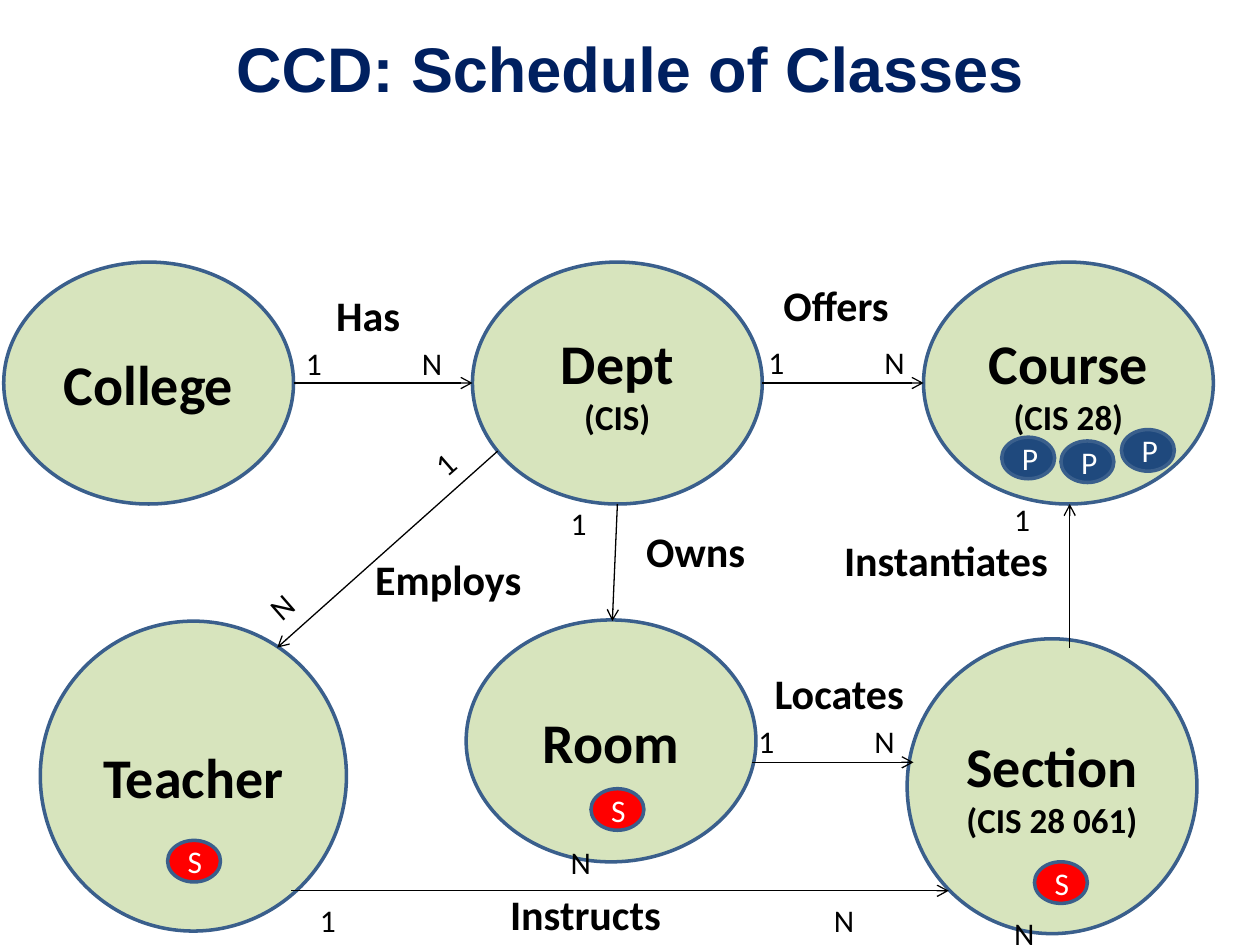
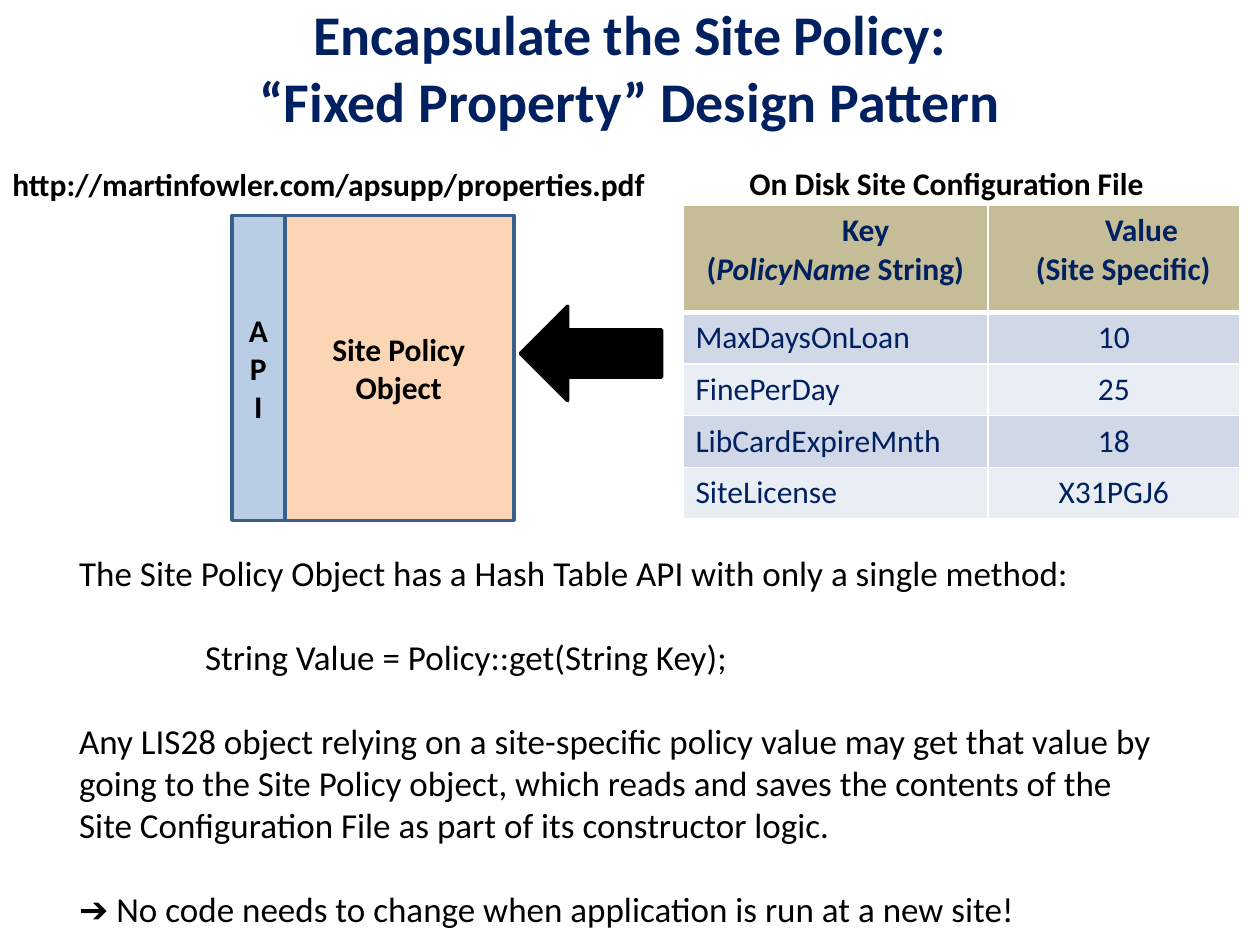
from lxml import etree
from pptx import Presentation
from pptx.dml.color import RGBColor
from pptx.enum.shapes import MSO_CONNECTOR, MSO_SHAPE
from pptx.enum.text import MSO_ANCHOR, MSO_AUTO_SIZE, PP_ALIGN
from pptx.oxml.ns import qn
from pptx.util import Inches, Pt

LEFT, CENTER = PP_ALIGN.LEFT, PP_ALIGN.CENTER
MIDDLE, NO_FIT = MSO_ANCHOR.MIDDLE, MSO_AUTO_SIZE.NONE
ELLIPSE, RECT, ARROW = MSO_SHAPE.OVAL, MSO_SHAPE.RECTANGLE, MSO_SHAPE.RIGHT_ARROW
STRAIGHT = MSO_CONNECTOR.STRAIGHT

COLORS = {
    "navy": "002060", "black": "000000", "white": "FFFFFF", "outline": "3A5F8C",
    "entity": "D7E4BD", "site": "FF0000", "policy": "1F497D", "object": "FCD5B5",
    "api": "B9CDE5", "header": "C4BD97", "odd": "D0D8E8", "even": "E9EDF4",
}
COLS, ROWS = 100, 75
TITLE_ONLY = 5


def rgb(name):
    """Return the named colour."""
    return RGBColor.from_string(COLORS[name])


def sub(parent, tag, **attrs):
    """Append a DrawingML child element and return it."""
    return etree.SubElement(parent, qn(tag), **attrs)


class Deck:
    """Holds the deck style and the current slide; places by grid units."""

    def __init__(self, prs):
        """Set the slide size and the grid unit."""
        self.prs, self.s = prs, None
        prs.slide_width, prs.slide_height = Inches(10), Inches(7.5)
        self.cw, self.rh = prs.slide_width / COLS, prs.slide_height / ROWS

    def grid(self, *values):
        """Turn alternating columns and rows into lengths."""
        return [round(v * (self.rh if i % 2 else self.cw)) for i, v in enumerate(values)]

    def style_run(self, r, size, color, bold, font="Calibri"):
        """Format one run and return its font."""
        f = r.font
        f.name, f.size, f.bold = font, Pt(size), bold
        f.color.rgb = rgb(color)
        return f

    def put_text(self, tf, text, size, color="black", bold=False, align=LEFT, font="Calibri"):
        """Fill a text frame and format its runs."""
        tf.text = text
        for p in tf.paragraphs:
            p.alignment = align
            for r in p.runs:
                self.style_run(r, size, color, bold, font)
        return tf.paragraphs

    def slide(self, title, box, size, font="Calibri"):
        """Start a slide with a placed title."""
        self.s = self.prs.slides.add_slide(self.prs.slide_layouts[TITLE_ONLY])
        sp = self.s.shapes.title
        sp.left, sp.top, sp.width, sp.height = self.grid(*box)
        tf = sp.text_frame
        tf.auto_size, tf.vertical_anchor = NO_FIT, MIDDLE
        self.put_text(tf, title, size, "navy", True, CENTER, font)

    def shape(self, kind, box, fill, line="outline"):
        """Add a filled and outlined shape."""
        sp = self.s.shapes.add_shape(kind, *self.grid(*box))
        sp.shadow.inherit = False
        sp.fill.solid()
        sp.fill.fore_color.rgb = rgb(fill)
        sp.line.color.rgb, sp.line.width = rgb(line), Pt(2)
        sp.text_frame.vertical_anchor = MIDDLE
        return sp

    def entity(self, text, box):
        """Add a concept ellipse with an optional smaller second line."""
        sp = self.shape(ELLIPSE, box, "entity")
        for p in self.put_text(sp.text_frame, text, 32, bold=True, align=CENTER)[1:]:
            p.runs[0].font.size = Pt(20)

    def badge(self, letter, left, top, fill):
        """Add a small lettered ellipse."""
        sp = self.shape(ELLIPSE, (left, top, 4.2, 3.3), fill)
        self.put_text(sp.text_frame, letter, 18, "white", align=CENTER)

    def block(self, text, box, fill):
        """Add a rectangle with a bold caption."""
        sp = self.shape(RECT, box, fill)
        self.put_text(sp.text_frame, text, 18, bold=True, align=CENTER)

    def text(self, text, box, size=18, bold=False):
        """Add a wrapped text box and return it."""
        sp = self.s.shapes.add_textbox(*self.grid(*box))
        sp.text_frame.word_wrap = True
        self.put_text(sp.text_frame, text, size, bold=bold)
        return sp

    def ends(self, text, box, tab, angle=0):
        """Add the two cardinalities of a link, spread by a tab stop."""
        sp = self.text(text, box)
        sp.rotation = angle
        pPr = sp.text_frame.paragraphs[0]._p.get_or_add_pPr()
        sub(sub(pPr, "a:tabLst"), "a:tab", pos=str(self.grid(tab)[0]), algn="l")

    def stacked_ends(self, box, gap):
        """Add the two cardinalities of an upright link."""
        sp = self.text("1\nN", box)
        sp.text_frame.paragraphs[1].space_before = Pt(gap)

    def link(self, x1, y1, x2, y2):
        """Add a thin line with an open arrowhead."""
        c = self.s.shapes.add_connector(STRAIGHT, *self.grid(x1, y1, x2, y2))
        c.line.color.rgb, c.line.width = rgb("black"), Pt(0.75)
        spPr = c._element.spPr
        sub(spPr.find(qn("a:ln")), "a:tailEnd", type="arrow")
        sub(spPr, "a:effectLst")

    def borders(self, cell, bottom):
        """Give a cell white borders with a chosen bottom width."""
        tcPr = cell._tc.get_or_add_tcPr()
        for side in "LRTB":
            width = Pt(bottom if side == "B" else 1)
            ln = sub(tcPr, f"a:ln{side}", w=str(width))
            sub(sub(ln, "a:solidFill"), "a:srgbClr", val=COLORS["white"])

    def table(self, data, box, widths, heights):
        """Add a table with a tan header and banded rows."""
        t = self.s.shapes.add_table(len(data), len(widths), *self.grid(*box)).table
        for col, w in zip(t.columns, widths):
            col.width = self.grid(w)[0]
        for i, (values, h) in enumerate(zip(data, heights)):
            t.rows[i].height = self.grid(0, h)[1]
            fill = "header" if i == 0 else ("even", "odd")[i % 2]
            for j, value in enumerate(values):
                cell = t.cell(i, j)
                self.borders(cell, 3 if i == 0 else 1)
                cell.fill.solid()
                cell.fill.fore_color.rgb = rgb(fill)
                align = CENTER if i == 0 or j else LEFT
                self.put_text(cell.text_frame, value, 18, "navy", i == 0, align)
        return t

    def indent(self, p, cols):
        """Set the left indent of a paragraph."""
        pPr = p._p.get_or_add_pPr()
        pPr.set("marL", str(self.grid(cols)[0]))
        pPr.set("indent", "0")


def schedule_slide(d):
    """Build the class diagram of the schedule."""
    d.slide("CCD: Schedule of Classes", (5, 0.6, 90, 9.5), 36, "Arial")
    for text, box in (
        ("College", (0.3, 20.8, 23, 19.2)),
        ("Dept\n(CIS)", (37.5, 20.8, 23, 19.2)),
        ("Course\n(CIS 28)", (73.3, 20.8, 23, 19.2)),
        ("Section\n(CIS 28 061)", (72, 50.7, 23, 23.4)),
        ("Room", (37, 49.2, 23, 19.2)),
        ("Teacher", (3.2, 49.3, 24.3, 24.6)),
    ):
        d.entity(text, box)
    for points in (
        (23.3, 30.4, 37.5, 30.4), (60.5, 30.4, 73.3, 30.4),
        (39.5, 35.8, 22, 51.4), (49, 40, 48.6, 49.3),
        (84.9, 51.4, 84.9, 40), (59.7, 60.5, 72.5, 60.5),
        (23.1, 70.7, 75.3, 70.7),
    ):
        d.link(*points)
    for left, top in ((23.3, 26.8), (60, 26.7), (59.2, 56.8)):
        d.ends("1\tN", (left, top, 14.2, 4), 9.2)
    d.ends("1\tN", (24.4, 71, 48.1, 4), 40.8)
    d.ends("N\t1", (18.2, 39.9, 22.5, 4), 17.4, 318.8)
    d.stacked_ends((44.3, 39.5, 3.2, 31), 172)
    d.stacked_ends((79.5, 39.2, 3.2, 35.8), 215)
    for text, left, top, width in (
        ("Has", 25.7, 22.5, 12.6), ("Offers", 61.2, 21.7, 12.6),
        ("Instantiates", 66, 41.9, 19.5), ("Locates", 60.5, 52.5, 12.6),
        ("Instructs", 39.5, 70, 19), ("Owns", 50.3, 41.2, 12.6),
        ("Employs", 28.8, 43.4, 13.7),
    ):
        d.text(text, (left, top, width, 5), 24, True)
    for left, top in ((13.3, 66.7), (46.9, 62.6), (82.1, 68.4)):
        d.badge("S", left, top, "site")
    for left, top in ((79.5, 34.7), (84.2, 35), (89, 34.1)):
        d.badge("P", left, top, "policy")


def policy_slide(d):
    """Build the site policy pattern with its configuration table."""
    d.slide("Encapsulate the Site Policy:\v“Fixed Property” Design Pattern",
            (0, -0.2, 100, 11), 32)
    d.shape(ARROW, (41.3, 24.3, 11.2, 7.5), "black", "black").rotation = 180
    t = d.table(
        (("Key\n(", "Value\n(Site Specific)"), ("MaxDaysOnLoan", "10"),
         ("FinePerDay", "25"), ("LibCardExpireMnth", "18"), ("SiteLicense", "X31PGJ6")),
        (54.2, 16.3, 44.2, 24.9), (24.2, 20), (8.5,) + (4.1,) * 4)
    key, name = t.cell(0, 0).text_frame.paragraphs
    for part, italic in (("PolicyName", True), (" String)", False)):
        r = name.add_run()
        r.text = part
        d.style_run(r, 18, "navy", True).italic = italic
    value, specific = t.cell(0, 1).text_frame.paragraphs
    for p, cols in ((key, 4.8), (value, 4.4), (specific, 1.5)):
        d.indent(p, cols)
    d.block("Site Policy Object", (22.5, 17.1, 18.3, 24.2), "object")
    d.block("A\nP\nI", (18.4, 17.1, 4.2, 24.2), "api")
    d.text("On Disk Site Configuration File", (58.5, 12.5, 35.3, 4), bold=True)
    d.text("http://martinfowler.com/apsupp/properties.pdf", (0, 12.6, 53.1, 4), bold=True)
    notes = d.text(
        "The Site Policy Object has a Hash Table API with only a single method:\n"
        "String Value = Policy::get(String Key);\n"
        "Any LIS28 object relying on a site-specific policy value may get that value by "
        "going to the Site Policy object, which reads and saves the contents of the "
        "Site Configuration File as part of its constructor logic.\n"
        "➔ No code needs to change when application is run at a new site!",
        (5.3, 43.3, 88.6, 31.3), 20)
    paragraphs = notes.text_frame.paragraphs
    for p in paragraphs[1:]:
        p.space_before = Pt(24)
    d.indent(paragraphs[1], 10)


def main():
    """Build and save the deck."""
    prs = Presentation()
    d = Deck(prs)
    schedule_slide(d)
    policy_slide(d)
    prs.save("out.pptx")


if __name__ == "__main__":
    main()
